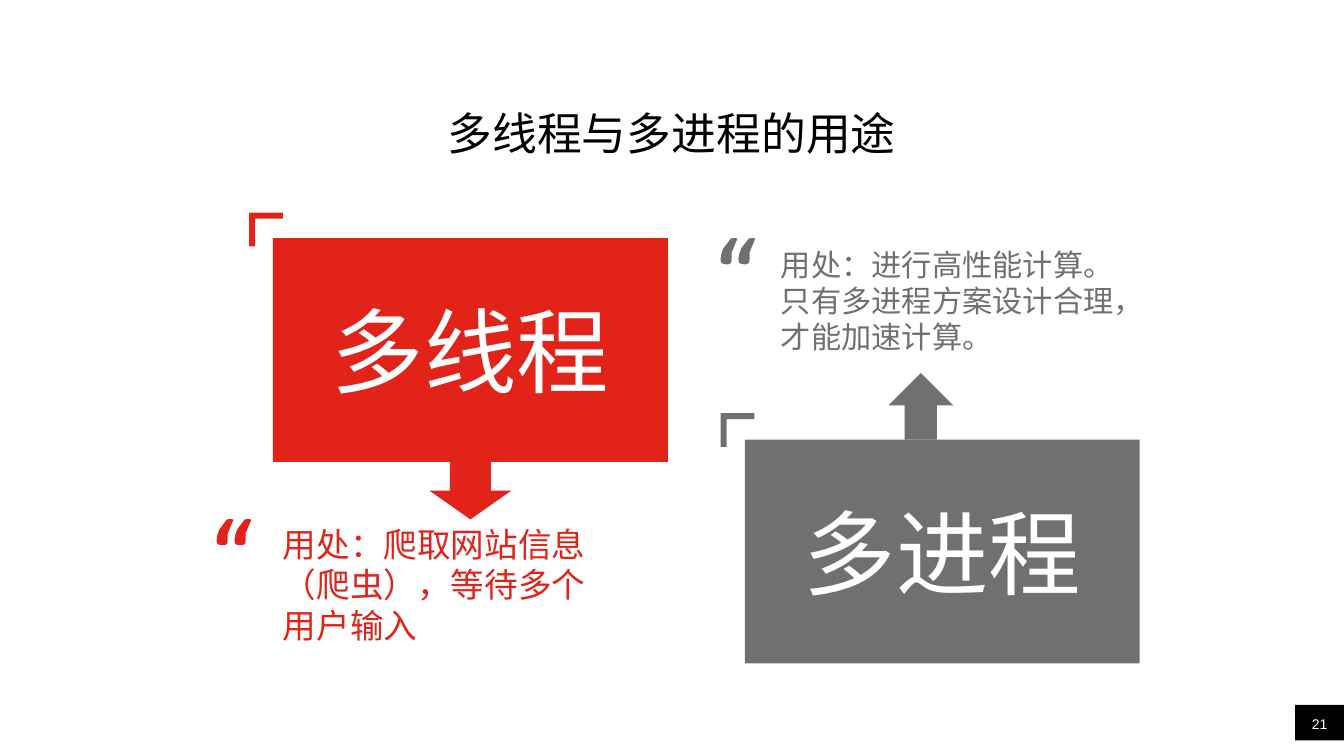
from pptx import Presentation
from pptx.dml.color import RGBColor
from pptx.enum.shapes import MSO_SHAPE
from pptx.enum.text import MSO_ANCHOR, MSO_AUTO_SIZE, PP_ALIGN
from pptx.oxml.ns import qn
from pptx.util import Cm, Pt
from lxml import etree

RECT, DOWN, UP = MSO_SHAPE.RECTANGLE, MSO_SHAPE.DOWN_ARROW, MSO_SHAPE.UP_ARROW
MIDDLE, BOTTOM = MSO_ANCHOR.MIDDLE, MSO_ANCHOR.BOTTOM
LEFT, CENTER = PP_ALIGN.LEFT, PP_ALIGN.CENTER
FIXED = MSO_AUTO_SIZE.NONE

# Content: places and sizes in cm
TITLE = "多线程与多进程的用途"
NUMBER = "21"
COLORS = {"red": "E2231A", "gray": "6F7170", "black": "000000", "white": "FFFFFF"}
SANS, LATIN = "Noto Sans CJK SC", "Arial"
BOX = (9.95, 5.64)
NOTE = (8.94, 3.66)
PANELS = [
    {"name": "多线程", "color": "red", "box": (6.88, 6), "corner": (6.28, 5.36),
     "note": "用处：爬取网站信息（爬虫），等待多个用户输入", "size": 24,
     "place": (6.88, 12.9), "quote": (5.46, 13.08),
     "arrow": DOWN, "span": (2.06, 1.45)},
    {"name": "多进程", "color": "gray", "box": (18.77, 11.08), "corner": (18.16, 10.41),
     "note": "用处：进行高性能计算。只有多进程方案设计合理，才能加速计算。", "size": 21.6,
     "place": (19.43, 5.74), "quote": (18.16, 6),
     "arrow": UP, "span": (1.63, 1.68)},
]

# Outlines in hundredths of a cm
UNIT = Cm(0.01)
CORNER = [(0, 0), (85, 0), (85, 15), (15, 15), (15, 85), (0, 85)]
MARK = [(33, 0), (38, 0), (41, 1), (42, 3), (41, 5), (28, 36), (28, 53),
        (27, 61), (24, 64), (20, 66), (13, 66), (7, 65), (3, 63), (1, 60),
        (0, 54), (1, 45), (3, 37), (7, 26), (23, 5), (26, 1)]
QUOTE = [MARK, [(x + 45, y) for x, y in MARK]]


def paint(shape, color):
    shape.shadow.inherit = False
    shape.fill.solid()
    shape.fill.fore_color.rgb = RGBColor.from_string(COLORS[color])
    shape.line.fill.background()


def write(shape, text, size, color, font=SANS, align=CENTER, anchor=MIDDLE):
    frame = shape.text_frame
    frame.text = text
    frame.word_wrap = True
    frame.auto_size = FIXED
    frame.vertical_anchor = anchor
    para = frame.paragraphs[0]
    para.alignment = align
    run = para.runs[0]
    run.font.name = font
    run.font.size = Pt(size)
    run.font.color.rgb = RGBColor.from_string(COLORS[color])
    east = etree.SubElement(run.font._element, qn("a:ea"))
    east.set("typeface", SANS)
    return frame


def block(kind, place, span, color):
    shape = shapes.add_shape(kind, *map(Cm, place + span))
    paint(shape, color)
    return shape


def outline(paths, place, color):
    pen = shapes.build_freeform(*paths[0][0], scale=UNIT)
    for path in paths:
        if path is not paths[0]:
            pen.move_to(*path[0])
        pen.add_line_segments(path[1:], close=True)
    paint(pen.convert_to_shape(*map(Cm, place)), color)


deck = Presentation()
deck.slide_width, deck.slide_height = Cm(33.87), Cm(19.05)
slide = deck.slides.add_slide(deck.slide_layouts[5])
shapes = slide.shapes

# Title
title = shapes.title
title.left, title.top, title.width, title.height = map(Cm, (10.44, 1.32, 12.98, 3.38))
write(title, TITLE, 32, "black").paragraphs[0].line_spacing = 1.5

# Page number
block(RECT, (32.64, 17.76), (1.23, 0.9), "black")
page = shapes.add_textbox(*map(Cm, (32.64, 17.76, 1.23, 0.69)))
frame = write(page, NUMBER, 10, "white", LATIN, anchor=BOTTOM)
frame.margin_left = frame.margin_right = frame.margin_top = frame.margin_bottom = 0

# Panels: box, corner, arrow, quote mark and note
for panel in PANELS:
    color, (left, top), (wide, high) = panel["color"], panel["box"], panel["span"]
    outline([CORNER], panel["corner"], color)
    outline(QUOTE, panel["quote"], color)
    note = shapes.add_textbox(*map(Cm, panel["place"] + NOTE))
    write(note, panel["note"], panel["size"], color, align=LEFT)
    box = block(RECT, panel["box"], BOX, color)
    write(box, panel["name"], 66, "white", LATIN)
    edge = top + BOX[1] if panel["arrow"] == DOWN else top - high
    block(panel["arrow"], (left + (BOX[0] - wide) / 2 - 0.54 * (panel["arrow"] == UP), edge),
          panel["span"], color)

deck.save("out.pptx")
